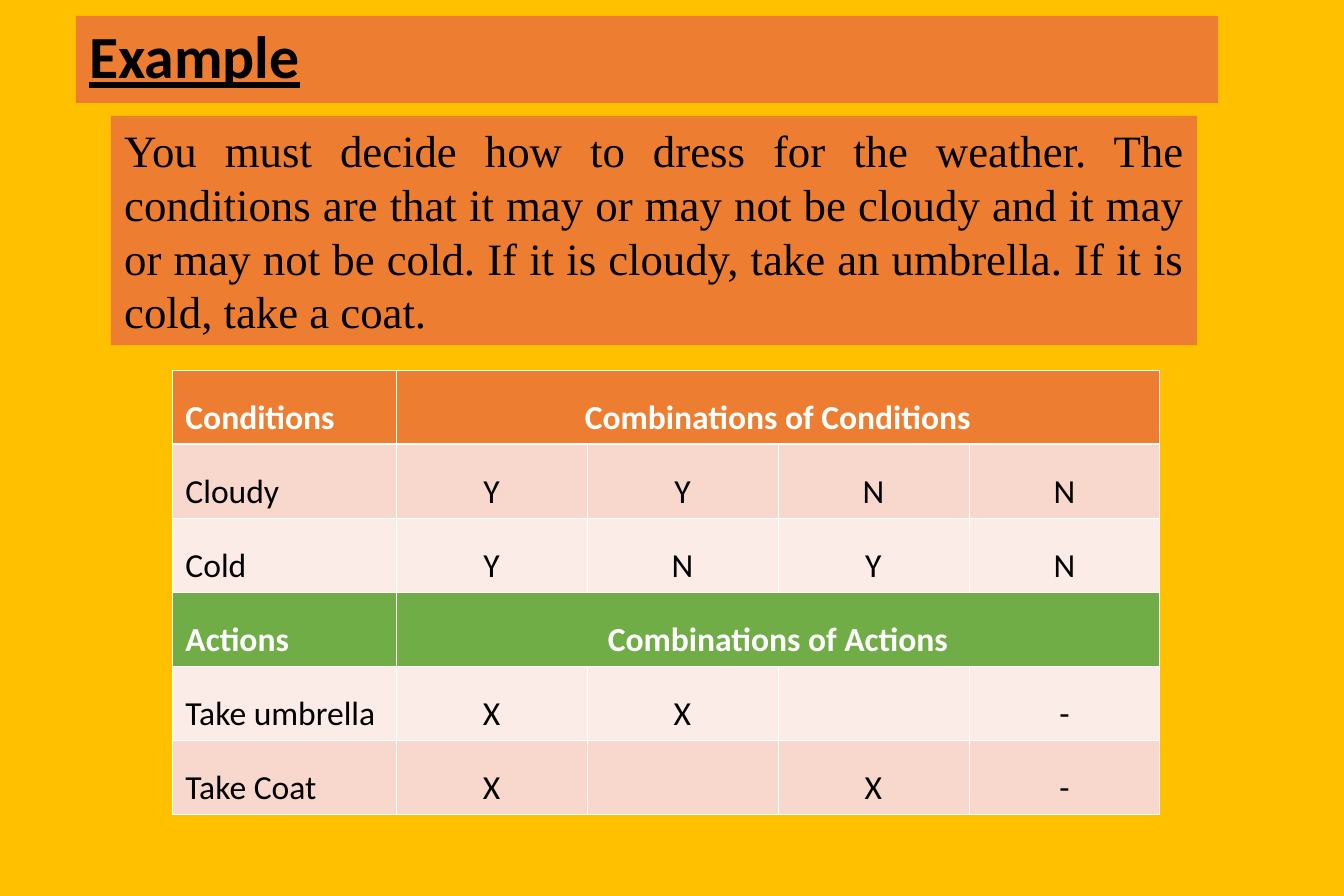
"""Build the decision table slide about dressing for the weather."""
from dataclasses import dataclass

from lxml import etree
from pptx import Presentation
from pptx.dml.color import RGBColor
from pptx.enum.shapes import MSO_SHAPE
from pptx.enum.text import MSO_ANCHOR, PP_ALIGN
from pptx.oxml.ns import qn
from pptx.util import Emu, Pt

RECTANGLE = MSO_SHAPE.RECTANGLE
MIDDLE, TOP = MSO_ANCHOR.MIDDLE, MSO_ANCHOR.TOP
LEFT, CENTER, JUSTIFY = PP_ALIGN.LEFT, PP_ALIGN.CENTER, PP_ALIGN.JUSTIFY

AMBER = RGBColor(0xFF, 0xC0, 0x00)
ORANGE = RGBColor(0xED, 0x7D, 0x31)
GREEN = RGBColor(0x70, 0xAD, 0x47)
PEACH = RGBColor(0xF8, 0xD7, 0xCD)
BLUSH = RGBColor(0xFC, 0xEC, 0xE8)
WHITE = RGBColor(0xFF, 0xFF, 0xFF)
BLACK = RGBColor(0x00, 0x00, 0x00)

PAGE_WIDTH, PAGE_HEIGHT = Emu(9144000), Emu(6092825)
TABLE_LEFT, TABLE_TOP = 172, 370
LABEL_WIDTH, RULE_WIDTH, ROW_HEIGHT = 224, 191, 74
CELL_BOTTOM_MARGIN = 5
RULE_COUNT = 4
THIN, THICK = 0.45, 1.47


@dataclass(frozen=True)
class TextStyle:
    font: str
    size: int
    color: RGBColor = BLACK
    align: PP_ALIGN = LEFT
    spacing: float = 1.0
    bold: bool = False
    underline: bool = False


@dataclass(frozen=True)
class Panel:
    left: int
    top: int
    width: int
    height: int
    text: str
    anchor: MSO_ANCHOR
    style: TextStyle


@dataclass(frozen=True)
class TableRow:
    label: str
    entries: tuple[str, ...]
    fill: RGBColor

    @property
    def is_heading(self) -> bool:
        return len(self.entries) == 1


PANELS = (
    Panel(76, 16, 1142, 87, "Example", MIDDLE,
          TextStyle("Calibri", 32, spacing=0.9, bold=True, underline=True)),
    Panel(111, 116, 1086, 229,
          "You must decide how to dress for the weather. The conditions are "
          "that it may or may not be cloudy and it may or may not be cold. "
          "If it is cloudy, take an umbrella. If it is cold, take a coat.",
          TOP, TextStyle("Times New Roman", 24, align=JUSTIFY)),
)

ROWS = (
    TableRow("Conditions", ("Combinations of Conditions",), ORANGE),
    TableRow("Cloudy", ("Y", "Y", "N", "N"), PEACH),
    TableRow("Cold", ("Y", "N", "Y", "N"), BLUSH),
    TableRow("Actions", ("Combinations of Actions",), GREEN),
    TableRow("Take umbrella", ("X", "X", "", "-"), BLUSH),
    TableRow("Take Coat", ("X", "", "X", "-"), PEACH),
)


def px(length: int) -> int:
    return round(length * 914400 / 134.4)


def write_text(text_frame, text: str, style: TextStyle) -> None:
    text_frame.text = text
    para = text_frame.paragraphs[0]
    para.alignment = style.align
    para.line_spacing = style.spacing
    for span in para.runs:
        span.font.name = style.font
        span.font.size = Pt(style.size)
        span.font.color.rgb = style.color
        span.font.bold = style.bold
        span.font.underline = style.underline


def draw_panel(page, panel: Panel) -> None:
    box = page.shapes.add_shape(RECTANGLE, px(panel.left), px(panel.top),
                                px(panel.width), px(panel.height))
    box.shadow.inherit = False
    box.fill.solid()
    box.fill.fore_color.rgb = ORANGE
    box.line.fill.background()
    box.text_frame.word_wrap = True
    box.text_frame.vertical_anchor = panel.anchor
    write_text(box.text_frame, panel.text, panel.style)


def set_borders(cell, top: float, bottom: float) -> None:
    properties = cell._tc.get_or_add_tcPr()
    widths = {"a:lnL": THIN, "a:lnR": THIN, "a:lnT": top, "a:lnB": bottom}
    for tag, width in widths.items():
        line = etree.SubElement(properties, qn(tag), w=str(Pt(width)))
        fill = etree.SubElement(line, qn("a:solidFill"))
        etree.SubElement(fill, qn("a:srgbClr"), val=str(WHITE))


def draw_row(table, index: int, row: TableRow) -> None:
    table.rows[index].height = px(ROW_HEIGHT)
    for cell in table.rows[index].cells:
        set_borders(cell, THICK if index == 1 else THIN,
                    THICK if index == 0 else THIN)
        cell.fill.solid()
        cell.fill.fore_color.rgb = row.fill
        cell.margin_bottom = px(CELL_BOTTOM_MARGIN)
    if row.is_heading:
        table.cell(index, 1).merge(table.cell(index, RULE_COUNT))
    color = WHITE if row.is_heading else BLACK
    for column, text in enumerate((row.label, *row.entries)):
        style = TextStyle("Calibri", 18, color, CENTER if column else LEFT,
                          1.5, row.is_heading)
        write_text(table.cell(index, column).text_frame, text, style)


def draw_table(page, rows: tuple[TableRow, ...]) -> None:
    widths = (LABEL_WIDTH,) + (RULE_WIDTH,) * RULE_COUNT
    table = page.shapes.add_table(
        len(rows), len(widths), px(TABLE_LEFT), px(TABLE_TOP),
        px(sum(widths)), px(ROW_HEIGHT * len(rows))).table
    for column, width in zip(table.columns, widths):
        column.width = px(width)
    for index, row in enumerate(rows):
        draw_row(table, index, row)


def main() -> None:
    deck = Presentation()
    deck.slide_width, deck.slide_height = PAGE_WIDTH, PAGE_HEIGHT
    page = deck.slides.add_slide(deck.slide_layouts[6])
    page.background.fill.solid()
    page.background.fill.fore_color.rgb = AMBER
    for panel in PANELS:
        draw_panel(page, panel)
    draw_table(page, ROWS)
    deck.save("out.pptx")


if __name__ == "__main__":
    main()
